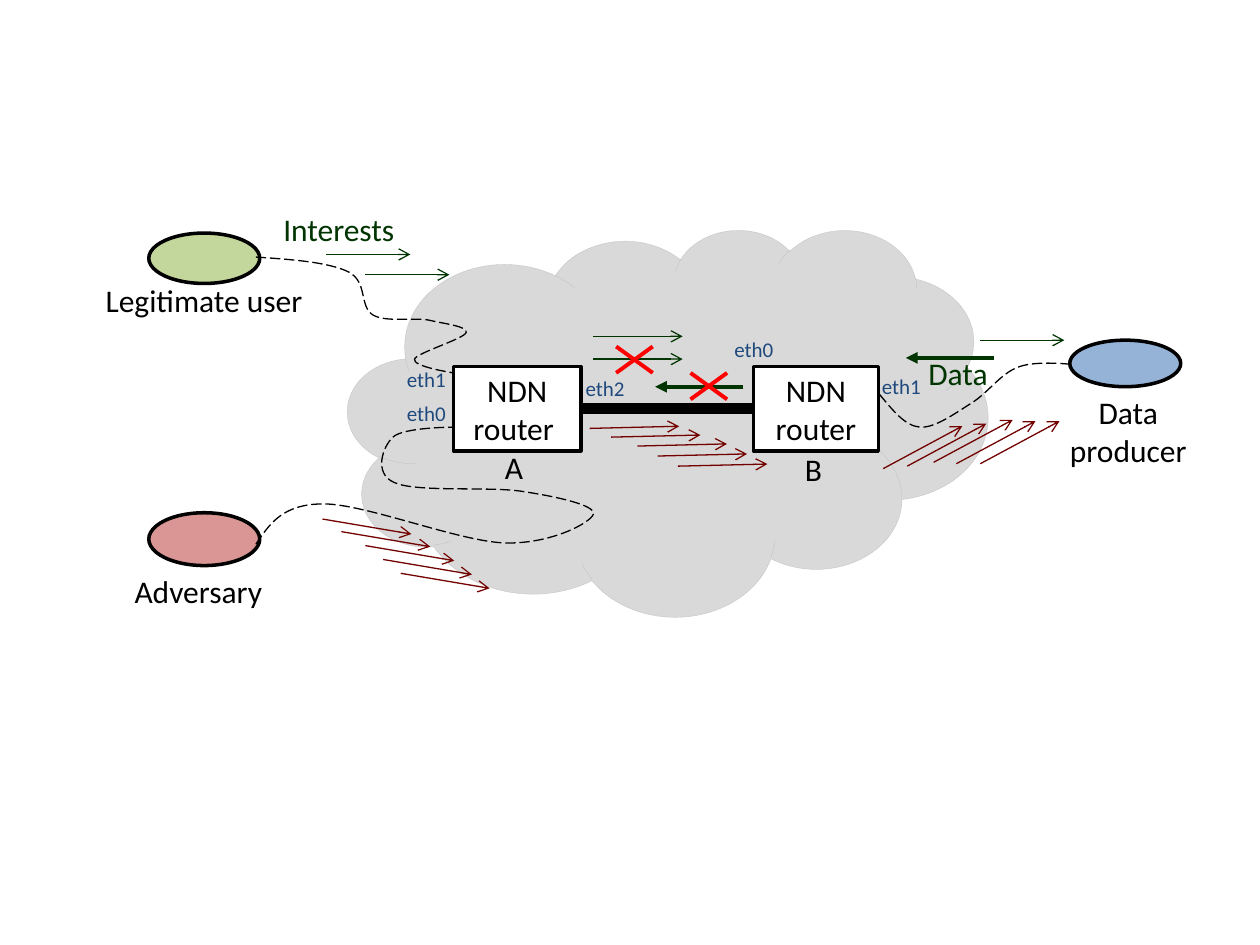
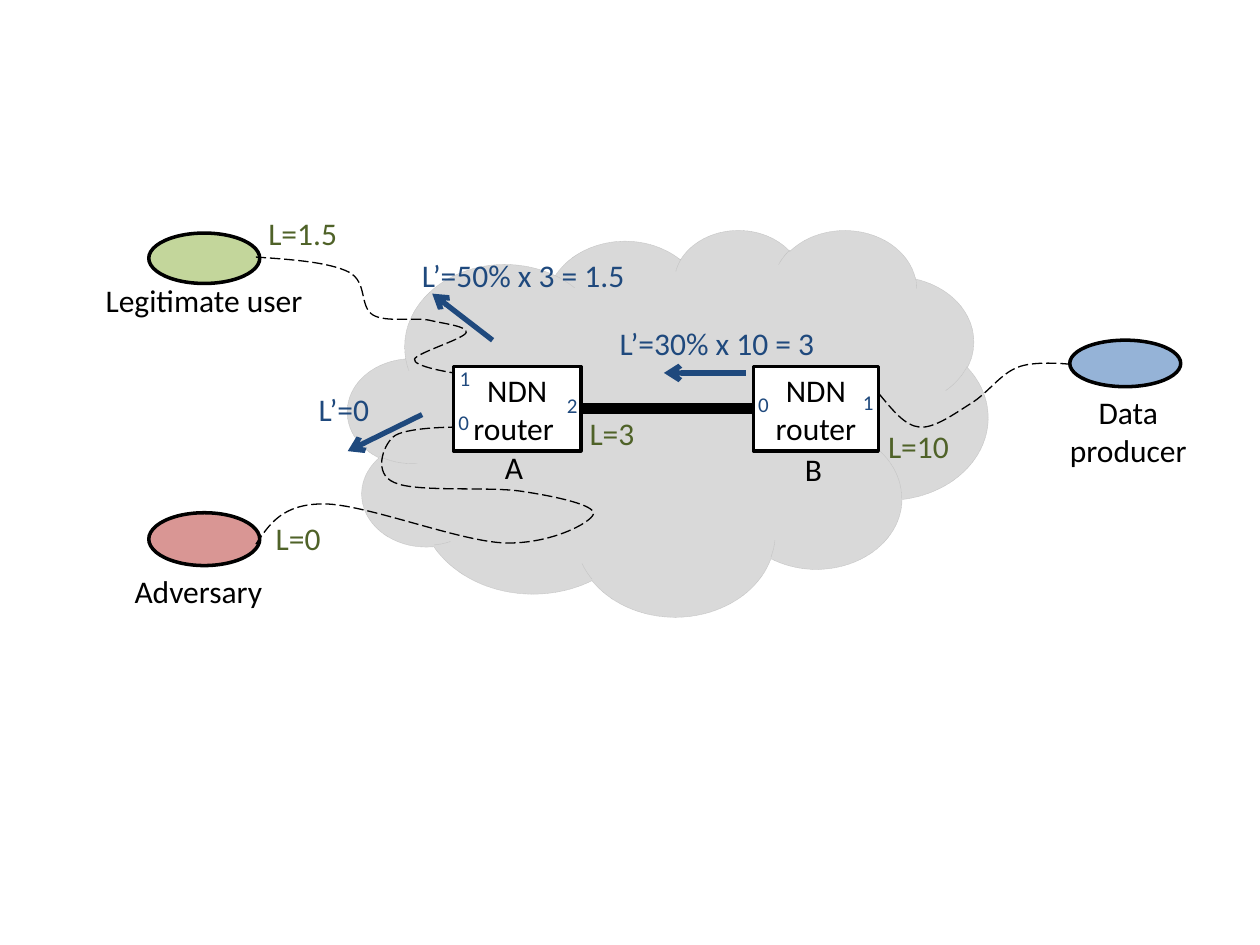
from pptx import Presentation
from pptx.util import Pt
from pptx.dml.color import RGBColor
from pptx.enum.dml import MSO_LINE
from pptx.enum.shapes import MSO_SHAPE as SHAPE, MSO_CONNECTOR
from pptx.enum.text import MSO_ANCHOR, MSO_AUTO_SIZE, PP_ALIGN
from pptx.oxml.ns import qn
from lxml.etree import SubElement

FONT = "Calibri"
C = {
    "black": "000000", "white": "FFFFFF", "cloud": "D9D9D9", "cloud_edge": "BFBFBF",
    "user": "C3D69B", "adversary": "D99694", "producer": "95B3D7",
    "interest": "003400", "flood": "730000", "cross": "FF0000",
    "navy": "1F497D", "limit": "4F6228",
}

CLOUD = (198.7, 131, 365.8, 221)
HOSTS = [
    ("user", (85, 133.2, 63.4, 28.8)),
    ("adversary", (85, 293, 63.4, 30.2)),
    ("producer", (611.3, 194.4, 63.4, 26.6)),
]
ROUTERS = [
    ("NDN router ", (259.2, 209.5, 72.7, 48.2)),
    ("NDN router", (430.6, 209.5, 71.3, 48.2)),
]
NAMES = [
    ("Legitimate user ", 53.3, 157, 129.6),
    ("Adversary", 69.8, 323.3, 94.3),
    ("A", 281.5, 252.7, 38.2),
    ("B", 452.9, 253.4, 38.2),
]
PRODUCER_NAME = ("Data producer", 597.6, 221, 94.3)
USER_PATH = [
    (146.2, 146.9),
    (167, 148.3), (187.9, 149.8), (199.4, 155.5),
    (210.2, 161.3), (205.2, 175), (213.1, 180),
    (220.3, 184.3), (236.2, 181.4), (244.8, 182.9),
    (253.4, 185), (267.8, 186.5), (266.4, 190.1),
    (265, 193.7), (238.3, 201.6), (236.9, 205.2),
    (235.4, 209.5), (259.2, 213.1), (259.2, 213.1),
]
ADVERSARY_PATH = [
    (146.2, 311),
    (154.1, 299.5), (161.3, 288), (185, 288),
    (208.8, 288), (262.8, 309.6), (288.7, 310.3),
    (314.6, 311), (337.7, 298.8), (339.1, 293.8),
    (340.6, 288.7), (317.5, 283.7), (298.1, 280.8),
    (279.4, 277.9), (237.6, 281.5), (225.4, 275.8),
    (213.1, 270.7), (218.9, 254.9), (224.6, 249.8),
    (230.4, 244.1), (259.9, 244.1), (259.9, 244.1),
]
PRODUCER_PATH = [
    (502.6, 225.4),
    (509.8, 234), (517, 243.4), (525.6, 244.1),
    (534.2, 244.8), (545.8, 236.2), (555.1, 230.4),
    (564.5, 224.6), (571.7, 213.8), (581, 210.2),
    (589.7, 205.9), (610.6, 208.1), (610.6, 208.1),
]
TRUNK = (331.9, 233.3, 98.7, 0)

INTERESTS = [
    (186.5, 145.4, 48), (208.8, 157, 48), (560.2, 194.4, 48),
    (339.1, 205.2, 51), (339.1, 192.2, 51),
]
DATA = [(568.1, 204.5), (424.8, 221)]
DATA_LENGTH = 50.4
FLOODS = [
    ((50.8, 8.6), [(184.3, 296.6), (195.1, 303.8), (208.8, 311.8),
                   (218.9, 319.7), (229, 327.6)]),
    ((51.1, -1.2), [(337, 244.8), (349.2, 249.8), (364.3, 254.9),
                    (375.8, 260.6), (387.4, 266.4)]),
    ((45.2, -24.3), [(504.7, 267.8), (518.4, 266.4), (533.5, 264.2),
                     (546.5, 265), (560.2, 265)]),
]
CROSSES = [(352.1, 198), (394.6, 213.1)]
CROSS_W, CROSS_H = 20.9, 15.1
PACKET_NAMES = [("Interests", 154.8, 116.6, 81.4), ("Data", 523.4, 198.7, 55.4)]
PORTS = [
    ("eth1", 225.4, 205.9), ("eth0", 225.4, 225.4), ("eth2", 327.6, 211),
    ("eth0", 412.6, 188.6), ("eth1", 496.8, 210.2),
]

PORT_NUMBERS = [
    ("1", 255.6, 205.2), ("0", 254.9, 230.4), ("2", 316.8, 221),
    ("0", 426.2, 220.3), ("1", 486, 218.9),
]
LIMITS = [
    ("L=3", 329.8, 233.3, 54.7), ("L=10", 500.4, 240.5, 54.7),
    ("L=0", 150.5, 293, 54.7), ("L=1.5", 146.2, 118.8, 143.3),
]
ANNOUNCED = [
    (("L’=30% x 10 = 3", 347, 181.4, 143.3), (426.2, 213.1, -46.8, 0)),
    (("L’=50% x 3 = 1.5", 234, 142.6, 140.4), (281.5, 194.4, -34.5, -26.6)),
    (("L’=0", 175, 219.6, 59.8), (241.2, 236.9, -42.5, 20.9)),
]


def rgb(name):
    return RGBColor.from_string(C[name])


def set_line(line, color, width, dash=None):
    line.color.rgb = rgb(color)
    line.width = Pt(width)
    if dash:
        line.dash_style = dash


def add_run(p, text, color, size):
    r = p.add_run()
    r.text = text
    r.font.name = FONT
    r.font.size = Pt(size)
    r.font.color.rgb = rgb(color)


def add_figure(s, kind, box, fill, edge="black", width=2, dash=None):
    sp = s.shapes.add_shape(kind, *map(Pt, box))
    sp.shadow.inherit = False
    sp.fill.solid()
    sp.fill.fore_color.rgb = rgb(fill)
    set_line(sp.line, edge, width, dash)
    return sp


def add_label(s, text, x, y, w, color="black", size=18, h=28.8, align=None):
    tf = s.shapes.add_textbox(Pt(x), Pt(y), Pt(w), Pt(h)).text_frame
    tf.word_wrap = True
    tf.auto_size = MSO_AUTO_SIZE.SHAPE_TO_FIT_TEXT
    p = tf.paragraphs[0]
    p.alignment = align
    add_run(p, text, color, size)


def add_line(shapes, x, y, dx, dy, color, width, head=None):
    cn = shapes.add_connector(MSO_CONNECTOR.STRAIGHT, Pt(x), Pt(y), Pt(x + dx), Pt(y + dy))
    set_line(cn.line, color, width)
    if head:
        SubElement(cn.line._get_or_add_ln(), qn("a:tailEnd"), type=head)
    SubElement(cn._element.spPr, qn("a:effectLst"))


def add_curve(s, points):
    pts = [(Pt(x), Pt(y)) for x, y in points]
    builder = s.shapes.build_freeform(*pts[0])
    builder.add_line_segments(pts[1:], close=False)
    sp = builder.convert_to_shape()
    sp.shadow.inherit = False
    sp.fill.background()
    set_line(sp.line, "black", 0.75, MSO_LINE.LONG_DASH)
    outline = sp._element.xpath(".//a:path")[0]
    segments = outline.findall(qn("a:lnTo"))
    for i in range(0, len(segments), 3):
        bezier = SubElement(outline, qn("a:cubicBezTo"))
        for seg in segments[i:i + 3]:
            bezier.append(seg[0])
            outline.remove(seg)


def add_network(prs):
    s = prs.slides.add_slide(prs.slide_layouts[6])
    add_figure(s, SHAPE.CLOUD, CLOUD, "cloud", "cloud_edge", 0.25, MSO_LINE.ROUND_DOT)
    for fill, box in HOSTS:
        add_figure(s, SHAPE.OVAL, box, fill)
    for text, box in ROUTERS:
        tf = add_figure(s, SHAPE.RECTANGLE, box, "white").text_frame
        tf.word_wrap = True
        tf.vertical_anchor = MSO_ANCHOR.MIDDLE
        p = tf.paragraphs[0]
        p.alignment = PP_ALIGN.CENTER
        add_run(p, text, "black", 18)
    for label in NAMES:
        add_label(s, *label)
    add_label(s, *PRODUCER_NAME, h=51, align=PP_ALIGN.CENTER)
    for points in (USER_PATH, ADVERSARY_PATH, PRODUCER_PATH):
        add_curve(s, points)
    add_line(s.shapes, *TRUNK, "black", 6)
    return s


def add_attack(prs):
    s = add_network(prs)
    for x, y, length in INTERESTS:
        add_line(s.shapes, x, y, length, 0, "interest", 0.75, "arrow")
    for x, y in DATA:
        add_line(s.shapes, x, y, -DATA_LENGTH, 0, "interest", 2.25, "triangle")
    for step, starts in FLOODS:
        group = s.shapes.add_group_shape()
        for start in starts:
            add_line(group.shapes, *start, *step, "flood", 0.75, "arrow")
    for x, y in CROSSES:
        group = s.shapes.add_group_shape()
        add_line(group.shapes, x, y + CROSS_H, CROSS_W, -CROSS_H, "cross", 2.25)
        add_line(group.shapes, x, y, CROSS_W, CROSS_H, "cross", 2.25)
    for label in PACKET_NAMES:
        add_label(s, *label, "interest")
    for text, x, y in PORTS:
        add_label(s, text, x, y, 41, "navy", 12, 21.6)


def add_limits(prs):
    s = add_network(prs)
    for text, x, y in PORT_NUMBERS:
        add_label(s, text, x, y, 20.9, "navy", 12, 21.6)
    for label in LIMITS:
        add_label(s, *label, "limit")
    for label, arrow in ANNOUNCED:
        add_line(s.shapes, *arrow, "navy", 3, "arrow")
        add_label(s, *label, "navy")


prs = Presentation()
prs.slide_width, prs.slide_height = Pt(720), Pt(540)
add_attack(prs)
add_limits(prs)
prs.save("out.pptx")
